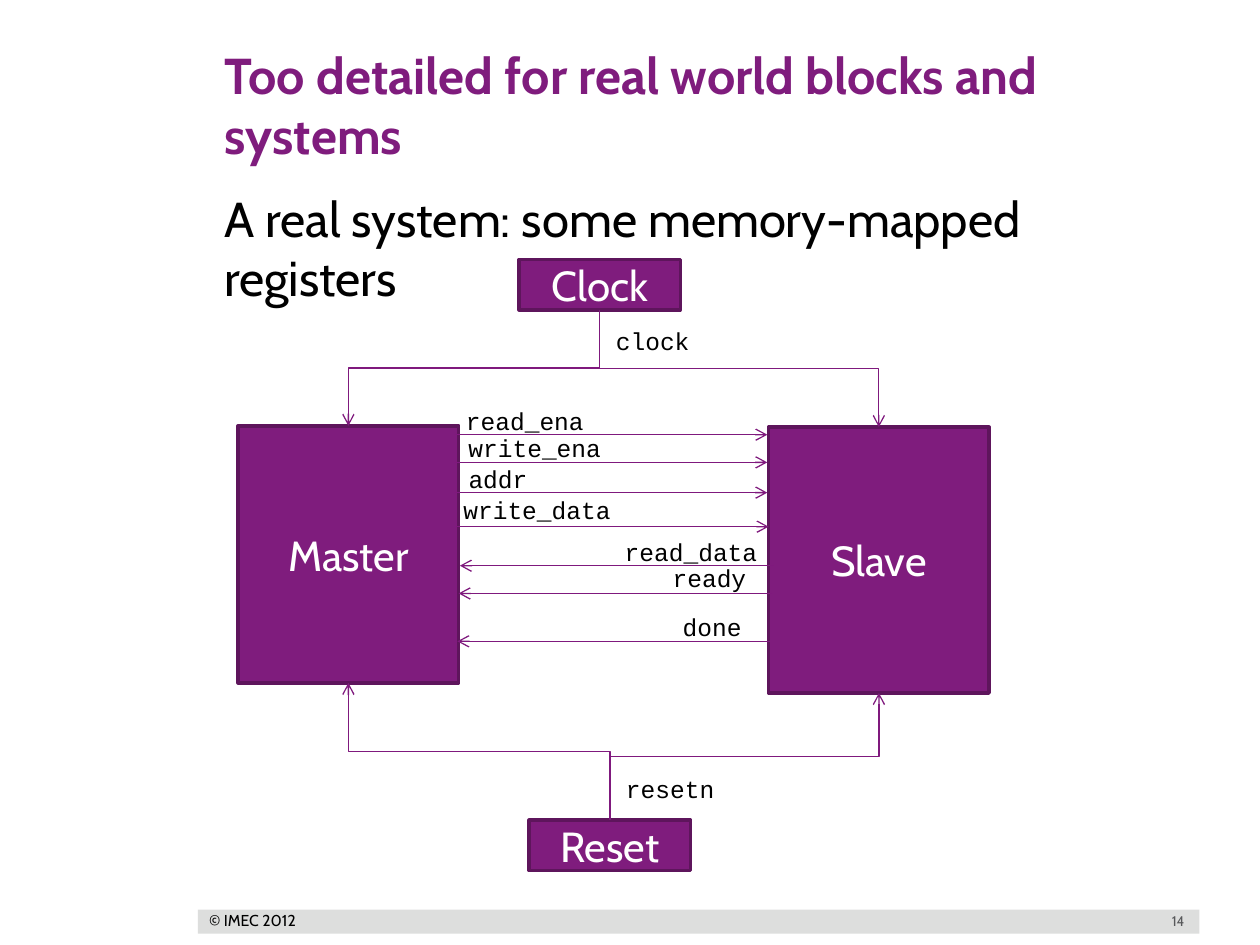
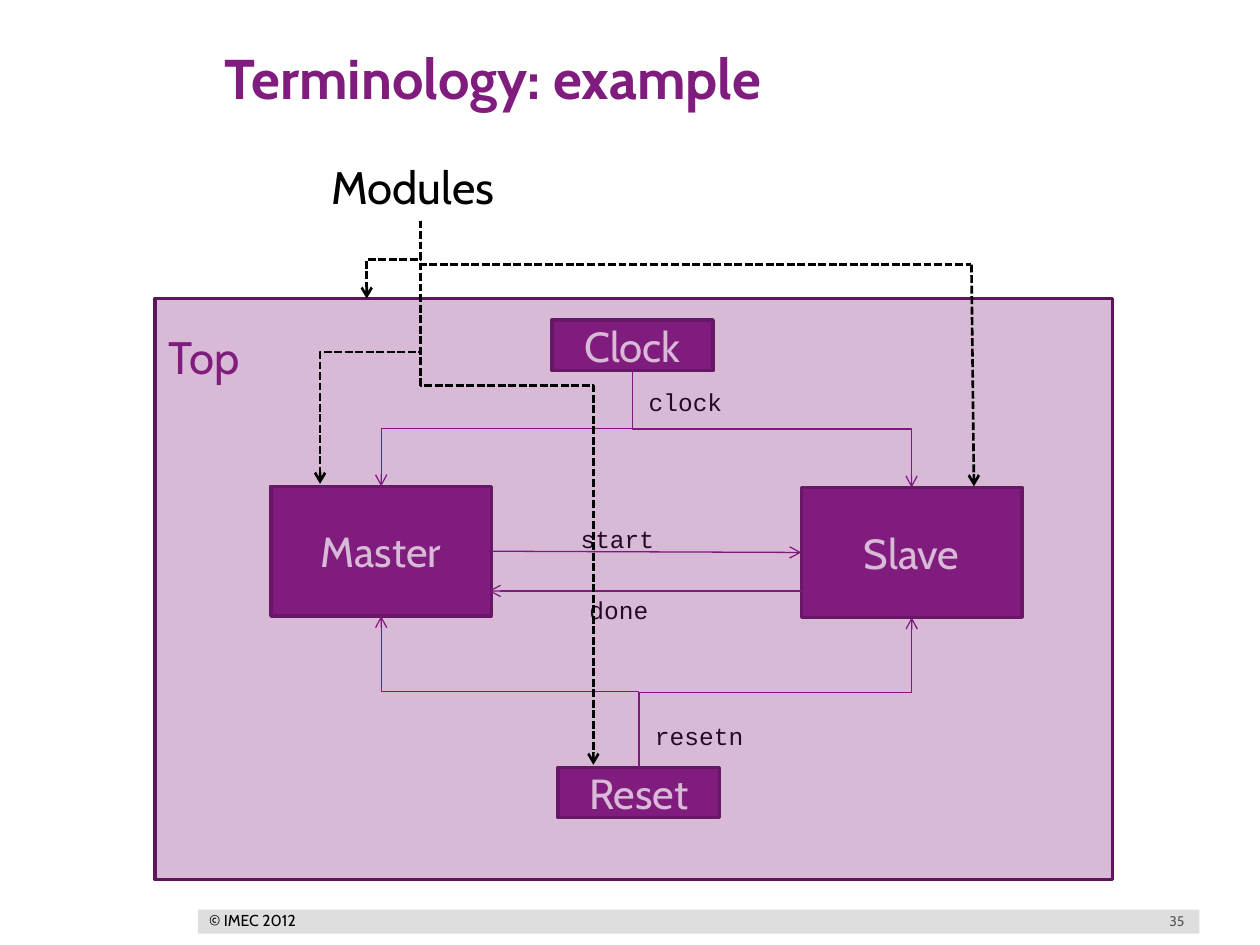
import pptx
import pptx.dml.color
import pptx.enum.dml
import pptx.enum.shapes
import pptx.enum.text
import pptx.oxml
import pptx.oxml.ns
import pptx.util

EMU_PER_PX = 9144  # 100 px to the inch
PURPLE, DARK_PURPLE, WIRE_PURPLE = "7F1C7D", "5E155C", "7F197D"
BLACK, WHITE, BAND_GREY, NUMBER_GREY = "000000", "FFFFFF", "DDDEDD", "58595B"
SANS, MONO = "Cabin", "Courier New"
TOP, LEFT, BOTTOM, RIGHT = range(4)  # connection sites of a rectangle

ALIGN = pptx.enum.text.PP_ALIGN
ANCHOR = pptx.enum.text.MSO_ANCHOR
CONNECTOR = pptx.enum.shapes.MSO_CONNECTOR
RECTANGLE = pptx.enum.shapes.MSO_SHAPE.RECTANGLE

HEADING_INSETS = {"margin_left": 20}
NO_INSETS = {f"margin_{side}": 0 for side in ("left", "top", "right", "bottom")}


def px(*lengths):
    return [pptx.util.Emu(round(length * EMU_PER_PX)) for length in lengths]


def color(hex_string):
    return pptx.dml.color.RGBColor.from_string(hex_string)


def set_format(target, values):
    for name, value in values.items():
        setattr(target, name, value)


def add_xml(parent, tag, **attributes):
    child = pptx.oxml.ns.qn(f"a:{tag}")
    element = parent.makeelement(child, attributes)
    parent.append(element)
    return element


def write_text(shape, text, size, hex_color, font=SANS, bold=False,
               align=ALIGN.LEFT, anchor=ANCHOR.TOP, wrap=True, insets=None):
    frame = shape.text_frame
    set_format(frame, {"word_wrap": wrap, "vertical_anchor": anchor})
    for name, length in (insets or {}).items():
        setattr(frame, name, px(length)[0])
    paragraph = frame.paragraphs[0]
    paragraph.alignment = align
    run = paragraph.add_run()
    run.text = text
    set_format(run.font, {"name": font, "size": pptx.util.Pt(size), "bold": bold})
    run.font.color.rgb = color(hex_color)


def add_text(slide, box, text, size, hex_color, **options):
    write_text(slide.shapes.add_textbox(*px(*box)), text, size, hex_color, **options)


def add_label(slide, box, text):
    add_text(slide, box, text, 14, BLACK, font=MONO)


def add_rectangle(slide, box, fill, line=None, opacity=None):
    shape = slide.shapes.add_shape(RECTANGLE, *px(*box))
    shape.shadow.inherit = False
    shape.fill.solid()
    shape.fill.fore_color.rgb = color(fill)
    if opacity is not None:
        rgb = shape._element.spPr.find(".//" + pptx.oxml.ns.qn("a:srgbClr"))
        add_xml(rgb, "alpha", val=str(opacity * 1000))
    if line:
        shape.line.color.rgb = color(line)
        shape.line.width = pptx.util.Pt(2)
    else:
        shape.line.fill.background()
    return shape


def add_block(slide, name, box):
    shape = add_rectangle(slide, box, PURPLE, DARK_PURPLE)
    write_text(shape, name, 24, WHITE, align=ALIGN.CENTER, anchor=ANCHOR.MIDDLE)
    return shape


def style_wire(connector, dashed=False, arrow=True):
    line = connector.line
    line.color.rgb = color(BLACK if dashed else WIRE_PURPLE)
    line.width = pptx.util.Pt(1.5 if dashed else 0.75)
    if dashed:
        line.dash_style = pptx.enum.dml.MSO_LINE.SQUARE_DOT
    if arrow:
        add_xml(line._get_or_add_ln(), "tailEnd", type="arrow")
    add_xml(connector._element.spPr, "effectLst")


def add_wire(slide, start, end, joins=None, **style):
    """Straight line; joins holds (shape, site) for its begin and its end."""
    connector = slide.shapes.add_connector(CONNECTOR.STRAIGHT, *px(*start, *end))
    if joins:
        connector.begin_connect(*joins[0])
        connector.end_connect(*joins[1])
    style_wire(connector, **style)


def add_elbow(slide, start, end, joins=None, bend=50, corners=2, **style):
    """Bent line that leaves its start vertically; bend is in percent."""
    connector = slide.shapes.add_connector(CONNECTOR.ELBOW, *px(*start, *end))
    if joins:
        connector.begin_connect(*joins[0])
        connector.end_connect(*joins[1])
    (x1, y1), (x2, y2) = start, end
    width, height = abs(y2 - y1), abs(x2 - x1)
    left, top, width, height = px((x1 + x2 - width) / 2, (y1 + y2 - height) / 2,
                                  width, height)
    set_format(connector, {"left": left, "top": top, "width": width, "height": height})
    to_right, upward = x2 > x1, y2 < y1
    properties = connector._element.spPr
    transform = properties.find(pptx.oxml.ns.qn("a:xfrm"))
    transform.set("rot", str((90 if to_right == upward else 270) * 60000))
    transform.set("flipH", str(int(to_right)))
    transform.set("flipV", str(int(upward)))
    geometry = properties.find(pptx.oxml.ns.qn("a:prstGeom"))
    geometry.set("prst", f"bentConnector{corners + 1}")
    if corners == 2:
        for adjustments in list(geometry):
            geometry.remove(adjustments)
        add_xml(add_xml(geometry, "avLst"), "gd", name="adj1",
                fmla=f"val {round(bend * 1000)}")
    style_wire(connector, **style)


def site_point(box, site):
    left, top, width, height = box
    return left + width / 2, top + (height if site == BOTTOM else 0)


def add_system(slide, boxes):
    """Four blocks, with Clock and Reset wired to both Master and Slave."""
    blocks = {name: add_block(slide, name, box) for name, box in boxes.items()}
    for source, out_site, in_site, label, rise in (
            ("Clock", BOTTOM, TOP, "clock", 8), ("Reset", TOP, BOTTOM, "resetn", -42)):
        start = site_point(boxes[source], out_site)
        for target in ("Master", "Slave"):
            add_elbow(slide, start, site_point(boxes[target], in_site),
                      joins=((blocks[source], out_site), (blocks[target], in_site)))
        add_label(slide, (start[0] + 3, start[1] + rise, 127, 34), label)
    return blocks


def add_slide(presentation, title, title_size, number):
    slide = presentation.slides.add_slide(presentation.slide_layouts[6])
    add_rectangle(slide, (157, 722, 795, 19), BAND_GREY)
    add_text(slide, (896, 721, 54, 19), number, 8, NUMBER_GREY,
             align=ALIGN.RIGHT, anchor=ANCHOR.MIDDLE)
    add_text(slide, (166, 723, 70, 15), "© IMEC 2012", 9, BLACK,
             anchor=ANCHOR.MIDDLE, wrap=False, insets=NO_INSETS)
    add_text(slide, (158, 30, 792, 106), title, title_size, PURPLE, bold=True,
             insets=HEADING_INSETS)
    return slide


def build_register_slide(presentation):
    slide = add_slide(presentation, "Too detailed for real world blocks and systems",
                      28.8, "14")
    add_text(slide, (158, 145, 792, 525), "A real system: some memory-mapped registers",
             28, BLACK, insets=HEADING_INSETS)
    add_system(slide, {"Master": (189, 338, 175, 204), "Reset": (420, 651, 128, 40),
                       "Slave": (610, 339, 175, 211), "Clock": (412, 206, 128, 40)})
    signals = (  # name, from x, to x, y, label left, label width, label rise
        ("read_ena", 361, 609, 345, 360, 127, 28),
        ("write_ena", 361, 609, 367, 362, 127, 28),
        ("addr", 361, 609, 391, 362, 78, 28),
        ("write_data", 362, 610, 418, 358, 157, 30),
        ("read_data", 614, 365, 449, 486, 128, 28),
        ("ready", 613, 364, 471, 524, 92, 29),
        ("done", 611, 363, 509, 532, 75, 28))
    for name, x1, x2, y, label_left, label_width, rise in signals:
        add_wire(slide, (x1, y), (x2, y))
        add_label(slide, (label_left, y - rise, label_width, 34), name)


def build_terminology_slide(presentation):
    slide = add_slide(presentation, "Terminology: example", 32, "35")
    blocks = add_system(slide, {
        "Master": (215, 386, 175, 103), "Reset": (443, 609, 128, 40),
        "Slave": (636, 387, 175, 103), "Clock": (438, 254, 128, 40)})
    add_wire(slide, (390, 438), (636, 439),
             joins=((blocks["Master"], RIGHT), (blocks["Slave"], LEFT)))
    add_wire(slide, (637, 469), (388, 469))
    add_label(slide, (451, 411, 127, 34), "start")
    add_label(slide, (458, 467, 127, 34), "done")

    add_rectangle(slide, (123, 237, 760, 461), PURPLE, DARK_PURPLE, opacity=30)
    add_text(slide, (124, 256, 108, 54), "Top", 26, PURPLE)
    add_text(slide, (253, 121, 162, 54), "Modules", 26, BLACK)
    modules = (334, 175)
    for target, bend in (((291, 237), 50), ((254, 384), 50), ((471, 607), 30.3)):
        add_elbow(slide, modules, target, bend=bend, dashed=True)
    add_elbow(slide, modules, (771, 210), corners=1, dashed=True, arrow=False)
    add_wire(slide, (771, 210), (773, 386), dashed=True)


def main():
    presentation = pptx.Presentation()
    presentation.slide_width, presentation.slide_height = px(1000, 750)
    build_register_slide(presentation)
    build_terminology_slide(presentation)
    presentation.save("out.pptx")


if __name__ == "__main__":
    main()
